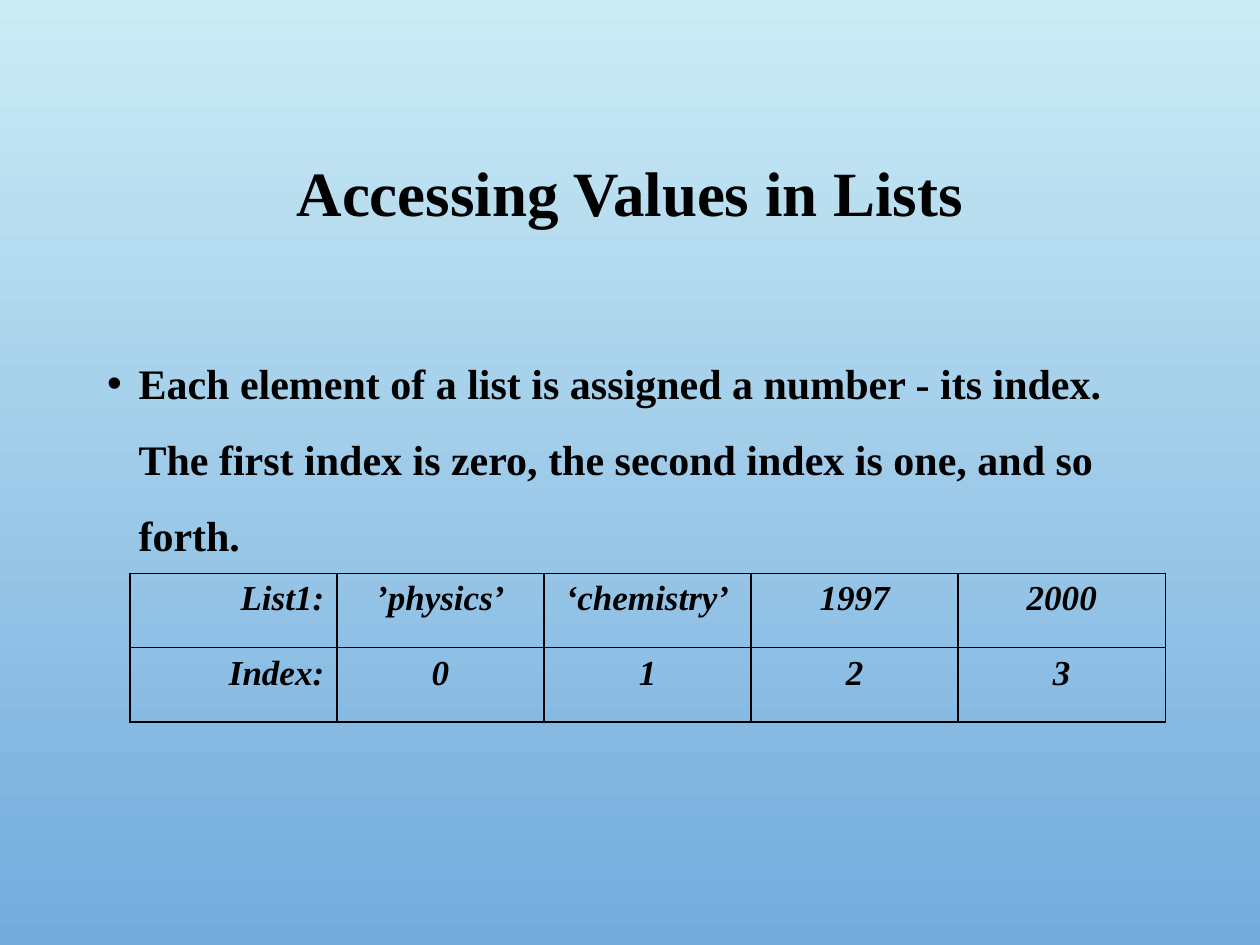
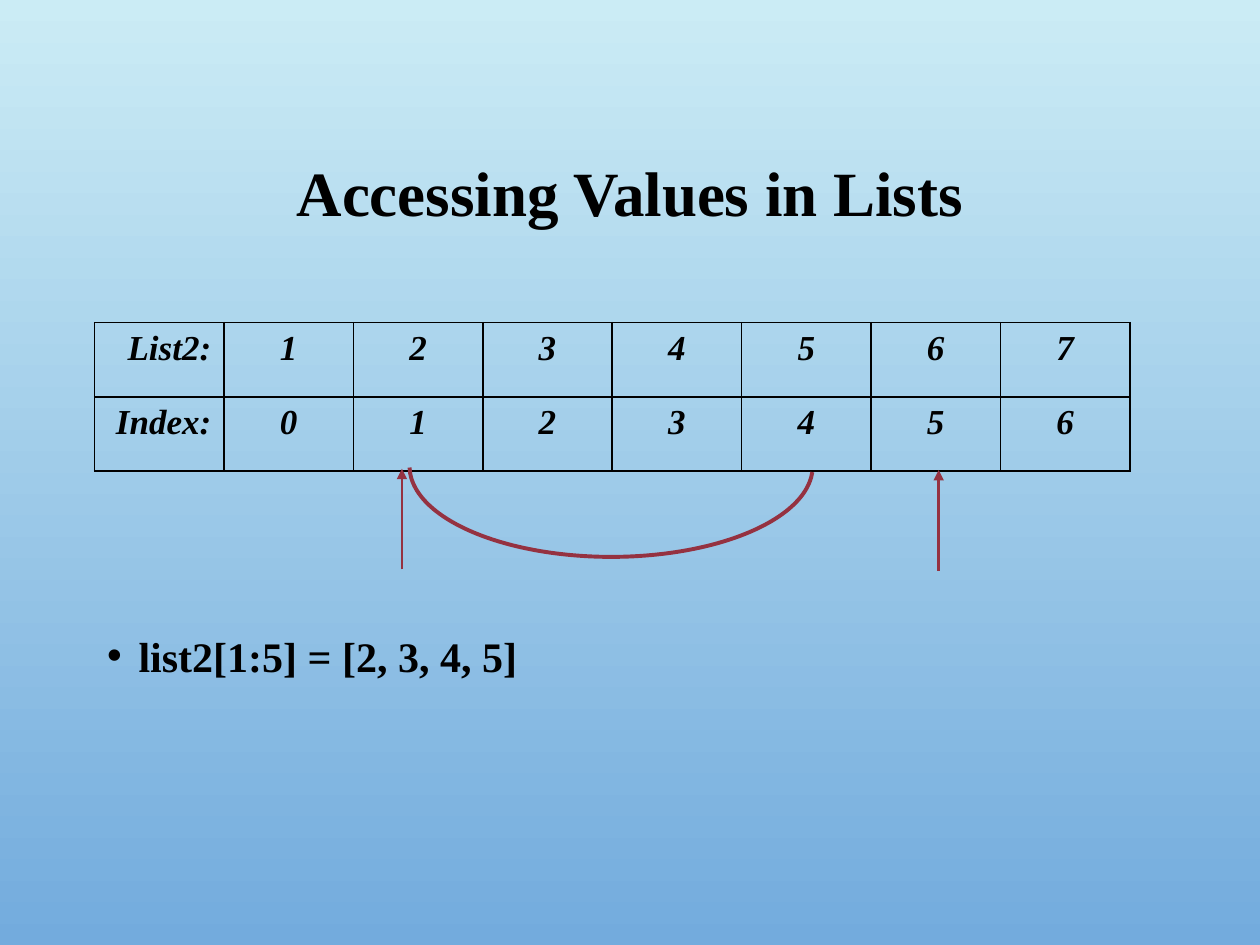
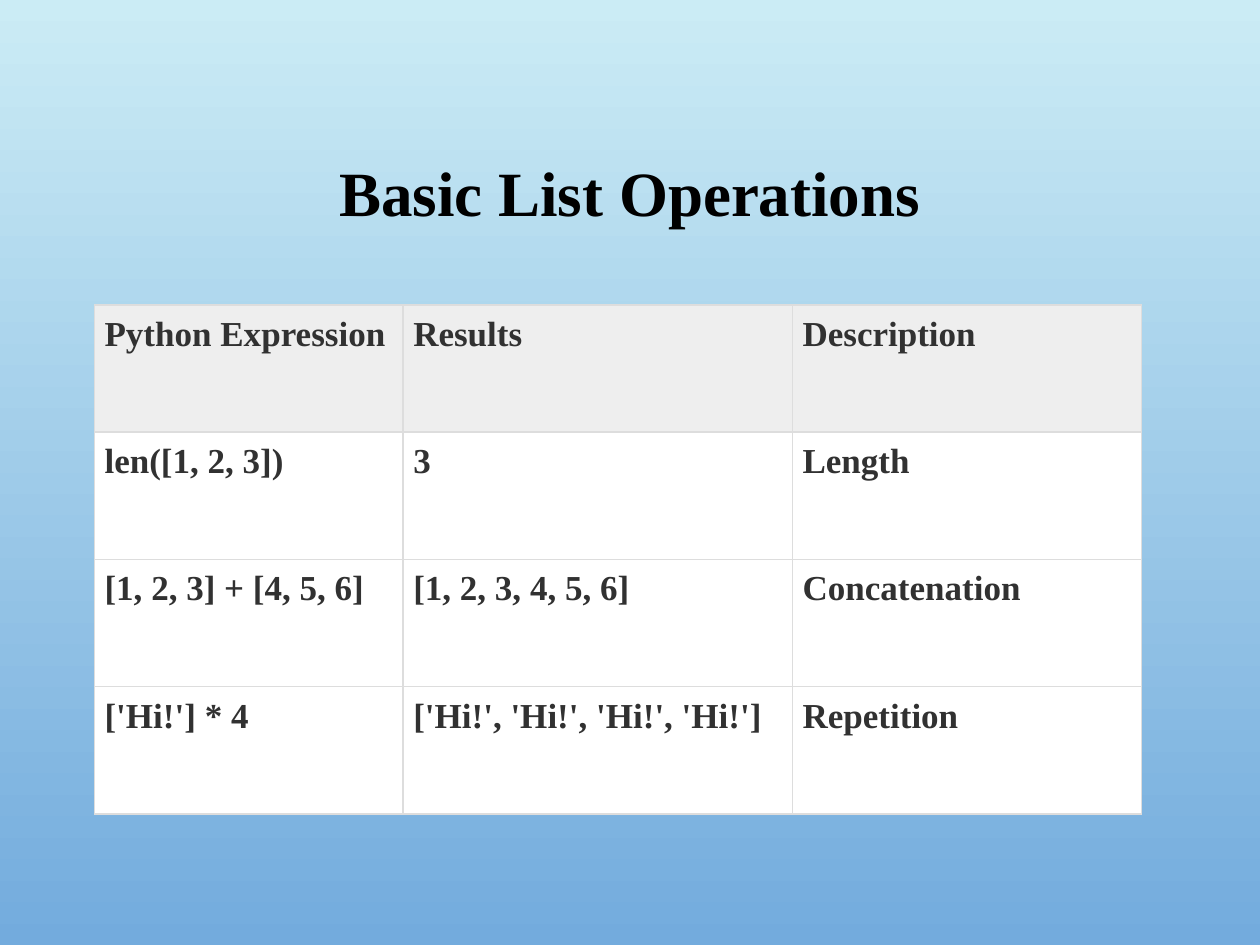
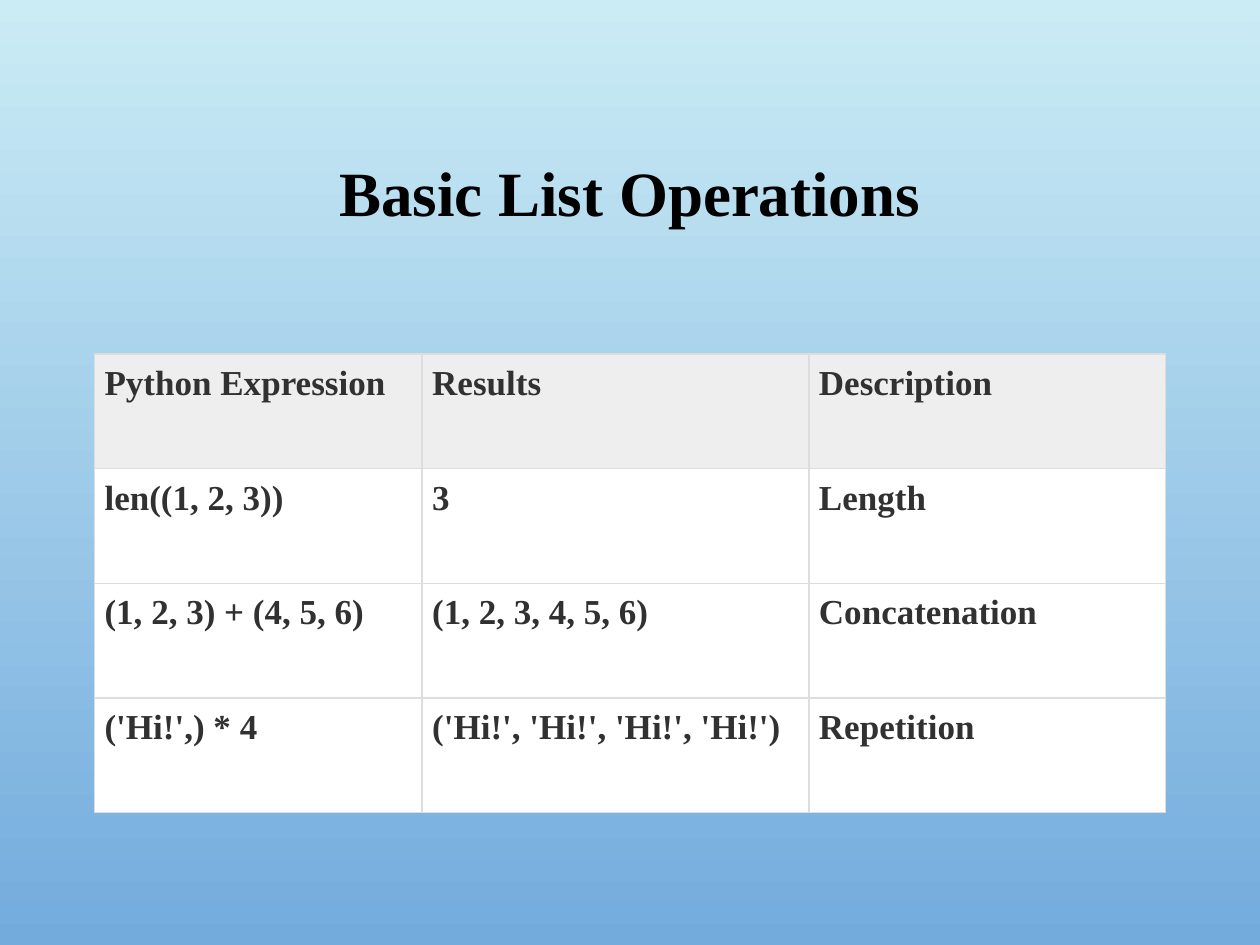
from lxml import etree
from pptx import Presentation
from pptx import util as u
from pptx.dml.color import RGBColor
from pptx.enum import shapes, text
from pptx.oxml import ns

Inches, Pt = u.Inches, u.Pt

FONT = "Times New Roman"
SKY_TOP = RGBColor(0xCB, 0xEC, 0xF5)
SKY_BOTTOM = RGBColor(0x73, 0xAB, 0xDD)
BLACK = RGBColor(0x00, 0x00, 0x00)
WHITE = RGBColor(0xFF, 0xFF, 0xFF)
DARK_GREY = RGBColor(0x31, 0x31, 0x31)
HEADER_GREY = RGBColor(0xEE, 0xEE, 0xEE)
BORDER_GREY = RGBColor(0xDD, 0xDD, 0xDD)
DARK_RED = RGBColor(0x95, 0x32, 0x41)

TITLE_AND_BODY, TITLE_ONLY = 1, 5
LEFT, WIDTH = 0.75, 8.5
OPERATION_HEADER = ["Python Expression", "Results", "Description"]


def paint_background(master):
    fill = master.background.fill
    fill.gradient()
    fill.gradient_angle = 270
    for stop, color in zip(fill.gradient_stops, (SKY_TOP, SKY_BOTTOM)):
        stop.color.rgb = color


def place(shape, left, top, width, height):
    shape.left, shape.top = Inches(left), Inches(top)
    shape.width, shape.height = Inches(width), Inches(height)


def format_runs(paragraph, size, color=BLACK, italic=False):
    for run in paragraph.runs:
        font = run.font
        font.name, font.size, font.bold, font.italic = FONT, Pt(size), True, italic
        font.color.rgb = color


def add_titled_slide(presentation, layout, title):
    slide = presentation.slides.add_slide(presentation.slide_layouts[layout])
    shape = slide.shapes.title
    place(shape, LEFT, 0.68, WIDTH, 1.75)
    frame = shape.text_frame
    frame.text = title
    frame.auto_size = text.MSO_AUTO_SIZE.NONE
    frame.vertical_anchor = text.MSO_ANCHOR.MIDDLE
    paragraph = frame.paragraphs[0]
    paragraph.alignment = text.PP_ALIGN.CENTER
    paragraph.line_spacing = 0.9
    format_runs(paragraph, 36)
    return slide


def fill_body(slide, top, height, wording):
    body = slide.placeholders[1]
    place(body, LEFT, top, WIDTH, height)
    frame = body.text_frame
    frame.text = wording
    frame.auto_size = text.MSO_AUTO_SIZE.NONE
    paragraph = frame.paragraphs[0]
    paragraph.line_spacing = 1.5
    paragraph.space_before = Pt(10)
    format_runs(paragraph, 24)
    properties = paragraph._p.get_or_add_pPr()
    properties.set("marL", str(Inches(0.25)))
    properties.set("indent", str(Inches(-0.25)))
    etree.SubElement(properties, ns.qn("a:buChar"), char="•")


def set_borders(cell, color):
    properties = cell._tc.get_or_add_tcPr()
    for index, side in enumerate(("lnL", "lnR", "lnT", "lnB")):
        line = etree.Element(ns.qn(f"a:{side}"), w=str(Pt(1)))
        fill = etree.SubElement(line, ns.qn("a:solidFill"))
        etree.SubElement(fill, ns.qn("a:srgbClr"), val=str(color))
        properties.insert(index, line)


def add_plain_table(slide, left, top, column_widths, row_height, rows, format_cell):
    """Add an unbanded table; format_cell(cell, row, column) styles each cell."""
    frame = slide.shapes.add_table(
        len(rows), len(column_widths), Inches(left), Inches(top),
        Inches(sum(column_widths)), Inches(row_height * len(rows)))
    table = frame.table
    table.first_row = table.horz_banding = False
    for column, width in zip(table.columns, column_widths):
        column.width = Inches(width)
    for row_index, values in enumerate(rows):
        table.rows[row_index].height = Inches(row_height)
        for column_index, value in enumerate(values):
            cell = table.cell(row_index, column_index)
            cell.text_frame.text = value
            format_cell(cell, row_index, column_index)


def format_index_cell(cell, row, column):
    paragraph = cell.text_frame.paragraphs[0]
    paragraph.alignment = text.PP_ALIGN.CENTER if column else text.PP_ALIGN.RIGHT
    format_runs(paragraph, 20, italic=True)
    cell.fill.background()
    set_borders(cell, BLACK)


def format_operation_cell(cell, row, column):
    cell.margin_left = cell.margin_right = Inches(0.08)
    cell.margin_top = cell.margin_bottom = Inches(0.08)
    paragraph = cell.text_frame.paragraphs[0]
    paragraph.space_after = Pt(15)
    format_runs(paragraph, 20, DARK_GREY)
    cell.fill.solid()
    cell.fill.fore_color.rgb = WHITE if row else HEADER_GREY
    set_borders(cell, BORDER_GREY)


def add_index_table(slide, left, top, name, values):
    """Show list values above their indexes in equal columns."""
    rows = [[name, *values], ["Index:", *map(str, range(len(values)))]]
    count = len(rows[0])
    add_plain_table(slide, left, top, [8.22 / count] * count, 0.59, rows, format_index_cell)


def add_up_arrow(slide, x, top):
    arrow = slide.shapes.add_connector(
        shapes.MSO_CONNECTOR.STRAIGHT, Inches(x), Inches(top + 0.8), Inches(x), Inches(top))
    arrow.line.color.rgb = DARK_RED
    arrow.line.width = Pt(1.5)
    etree.SubElement(arrow.line._get_or_add_ln(), ns.qn("a:tailEnd"), type="triangle")
    etree.SubElement(arrow._element.spPr, ns.qn("a:effectLst"))


def mark_slice(slide, left, top):
    """Draw the arc under the sliced cells and an arrow at each slice bound."""
    arc = slide.shapes.add_shape(
        shapes.MSO_SHAPE.ARC, Inches(left + 0.94), Inches(top - 1.62), Inches(1.44), Inches(3.2))
    arc.rotation = 90
    arc.adjustments[0], arc.adjustments[1] = 163.01, 53.76
    arc.shadow.inherit = False
    arc.fill.background()
    arc.line.color.rgb = DARK_RED
    arc.line.width = Pt(2.25)
    add_up_arrow(slide, left, top)
    add_up_arrow(slide, left + 4.26, top + 0.01)


def add_index_slide(presentation, table_left, table_top, name, values,
                    body_top, body_height, wording):
    slide = add_titled_slide(presentation, TITLE_AND_BODY, "Accessing Values in Lists")
    fill_body(slide, body_top, body_height, wording)
    add_index_table(slide, table_left, table_top, name, values)
    return slide


def add_operations_slide(presentation, top, column_widths, row_height, operations):
    slide = add_titled_slide(presentation, TITLE_ONLY, "Basic List Operations")
    add_plain_table(slide, LEFT, top, column_widths, row_height,
                    [OPERATION_HEADER, *operations], format_operation_cell)


def main():
    presentation = Presentation()
    presentation.slide_width, presentation.slide_height = Inches(10), Inches(7.5)
    paint_background(presentation.slide_master)

    add_index_slide(
        presentation, 1.03, 4.55, "List1:", ["’physics’", "‘chemistry’", "1997", "2000"],
        2.59, 1.79,
        "Each element of a list is assigned a number - its index. "
        "The first index is zero, the second index is one, and so forth.")
    slice_slide = add_index_slide(
        presentation, LEFT, 2.56, "List2:", list("1234567"),
        4.75, 1.59, "list2[1:5] = [2, 3, 4, 5]")
    mark_slice(slice_slide, 3.19, 3.72)

    add_operations_slide(presentation, 2.42, [2.45, 3.09, 2.77], 1.01, [
        ["len([1, 2, 3])", "3", "Length"],
        ["[1, 2, 3] + [4, 5, 6]", "[1, 2, 3, 4, 5, 6]", "Concatenation"],
        ["['Hi!'] * 4", "['Hi!', 'Hi!', 'Hi!', 'Hi!']", "Repetition"],
    ])
    add_operations_slide(presentation, 2.81, [2.6, 3.07, 2.83], 0.91, [
        ["len((1, 2, 3))", "3", "Length"],
        ["(1, 2, 3) + (4, 5, 6)", "(1, 2, 3, 4, 5, 6)", "Concatenation"],
        ["('Hi!',) * 4", "('Hi!', 'Hi!', 'Hi!', 'Hi!')", "Repetition"],
    ])
    presentation.save("out.pptx")


if __name__ == "__main__":
    main()
